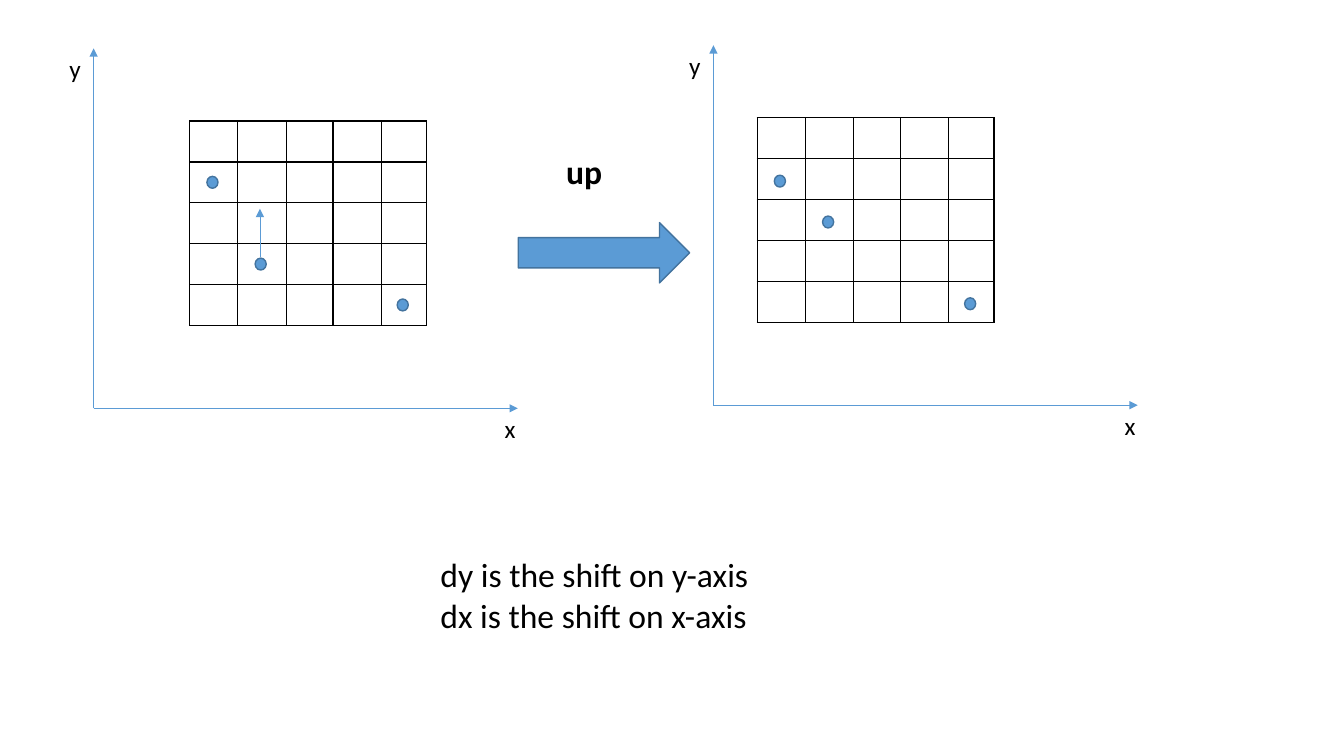
"""Build a slide showing a grid point shifted up between two coordinate planes."""
from dataclasses import dataclass

import lxml.etree
import pptx
import pptx.dml.color
import pptx.enum.shapes
import pptx.enum.text
import pptx.oxml.ns
import pptx.util

Cm = pptx.util.Cm
Pt = pptx.util.Pt
qn = pptx.oxml.ns.qn
Shape = pptx.enum.shapes.MSO_SHAPE

BLUE = "5B9BD5"
DARK_BLUE = "43739E"
BLACK = "000000"
COLUMN_WIDTHS = (1.21, 1.22, 1.18, 1.22, 1.14)
ROW_COUNT = 5
ROW_HEIGHT = 1.03
DOT_WIDTH, DOT_HEIGHT = 0.28, 0.3
X_AXIS_LENGTH, Y_AXIS_LENGTH = 10.69, 9.07


@dataclass(frozen=True)
class Plane:
    """Coordinate plane with a grid and dots given as (column, row)."""
    origin_x: float
    origin_y: float
    grid_left: float
    grid_top: float
    dots: tuple[tuple[int, int], ...]
    dot_drop: float


@dataclass(frozen=True)
class Label:
    """Text lines with their place and size."""
    lines: tuple[str, ...]
    left: float
    top: float
    width: float
    height: float
    size: int = 18
    bold: bool = False


PLANES = (
    Plane(2.36, 10.29, 4.78, 3.05, ((0, 1), (1, 3), (4, 4)), 0),
    Plane(17.98, 10.21, 19.08, 2.97, ((0, 1), (1, 2), (4, 4)), 0.05),
)
CAPTIONS = (
    Label(("up",), 14.02, 3.68, 4.47, 1.27, 24, True),
    Label(("dy is the shift on y-axis", "dx is the shift on x-axis"),
          10.85, 13.84, 12.75, 2.31, 24),
)


def color(value: str) -> pptx.dml.color.RGBColor:
    """Turn a hex string into a colour."""
    return pptx.dml.color.RGBColor.from_string(value)


def add_label(slide, label: Label) -> None:
    """Write a label in a text box."""
    box = slide.shapes.add_textbox(
        Cm(label.left), Cm(label.top), Cm(label.width), Cm(label.height))
    frame = box.text_frame
    frame.word_wrap = True
    frame.auto_size = pptx.enum.text.MSO_AUTO_SIZE.SHAPE_TO_FIT_TEXT
    frame.text = "\n".join(label.lines)
    for paragraph in frame.paragraphs:
        for run in paragraph.runs:
            run.font.name = "Calibri"
            run.font.size = Pt(label.size)
            run.font.bold = label.bold
            run.font.color.rgb = color(BLACK)


def add_arrow(slide, x1: float, y1: float, x2: float, y2: float) -> None:
    """Draw a thin line with an arrowhead at its end."""
    arrow = slide.shapes.add_connector(
        pptx.enum.shapes.MSO_CONNECTOR.STRAIGHT, Cm(x1), Cm(y1), Cm(x2), Cm(y2))
    arrow.line.color.rgb = color(BLUE)
    arrow.line.width = Pt(0.5)
    properties = arrow._element.spPr
    lxml.etree.SubElement(properties.find(qn("a:ln")), qn("a:tailEnd"), type="triangle")
    lxml.etree.SubElement(properties, qn("a:effectLst"))


def add_blue_shape(slide, kind, left: float, top: float,
                   width: float, height: float) -> None:
    """Draw a blue outlined preset shape."""
    figure = slide.shapes.add_shape(kind, Cm(left), Cm(top), Cm(width), Cm(height))
    figure.shadow.inherit = False
    figure.fill.solid()
    figure.fill.fore_color.rgb = color(BLUE)
    figure.line.color.rgb = color(DARK_BLUE)
    figure.line.width = Pt(1)


def add_grid(slide, left: float, top: float) -> None:
    """Draw an empty table with black borders."""
    grid = slide.shapes.add_table(
        ROW_COUNT, len(COLUMN_WIDTHS), Cm(left), Cm(top),
        Cm(sum(COLUMN_WIDTHS)), Cm(ROW_COUNT * ROW_HEIGHT)).table
    grid.first_row = False
    grid.horz_banding = False
    for column, width in zip(grid.columns, COLUMN_WIDTHS):
        column.width = Cm(width)
    for row in grid.rows:
        row.height = Cm(ROW_HEIGHT)
    for cell in grid.iter_cells():
        properties = cell._tc.get_or_add_tcPr()
        for side in ("lnL", "lnR", "lnT", "lnB"):
            border = lxml.etree.SubElement(properties, qn(f"a:{side}"), w=str(Pt(1)))
            paint = lxml.etree.SubElement(border, qn("a:solidFill"))
            lxml.etree.SubElement(paint, qn("a:srgbClr"), val=BLACK)
        cell.fill.background()


def dot_center(plane: Plane, column: int, row: int) -> tuple[float, float]:
    """Find the centre of a dot in its grid cell."""
    x = plane.grid_left + sum(COLUMN_WIDTHS[:column]) + COLUMN_WIDTHS[column] / 2
    y = plane.grid_top + (row + 0.5) * ROW_HEIGHT
    return x - 0.03, y + plane.dot_drop


def add_plane(slide, plane: Plane) -> None:
    """Draw the grid, axes, axis names and dots of a plane."""
    x, y = plane.origin_x, plane.origin_y
    axis_top = y - Y_AXIS_LENGTH
    add_grid(slide, plane.grid_left, plane.grid_top)
    add_arrow(slide, x, y, x + X_AXIS_LENGTH, y)
    add_arrow(slide, x, y, x, axis_top)
    add_label(slide, Label(("x",), x + 10.11, y, 1.55, 1.03))
    add_label(slide, Label(("y",), x - 0.86, axis_top, 0.86, 1.03))
    for column, row in plane.dots:
        center_x, center_y = dot_center(plane, column, row)
        add_blue_shape(slide, Shape.OVAL, center_x - DOT_WIDTH / 2,
                       center_y - DOT_HEIGHT / 2, DOT_WIDTH, DOT_HEIGHT)


def main() -> None:
    """Build and save the slide."""
    deck = pptx.Presentation()
    deck.slide_width, deck.slide_height = Cm(33.87), Cm(19.05)
    slide = deck.slides.add_slide(deck.slide_layouts[6])
    for plane in PLANES:
        add_plane(slide, plane)
    add_arrow(slide, 6.55, 6.48, 6.55, 5.26)
    add_blue_shape(slide, Shape.RIGHT_ARROW, 13.06, 5.61, 4.32, 1.52)
    for caption in CAPTIONS:
        add_label(slide, caption)
    deck.save("out.pptx")


if __name__ == "__main__":
    main()
